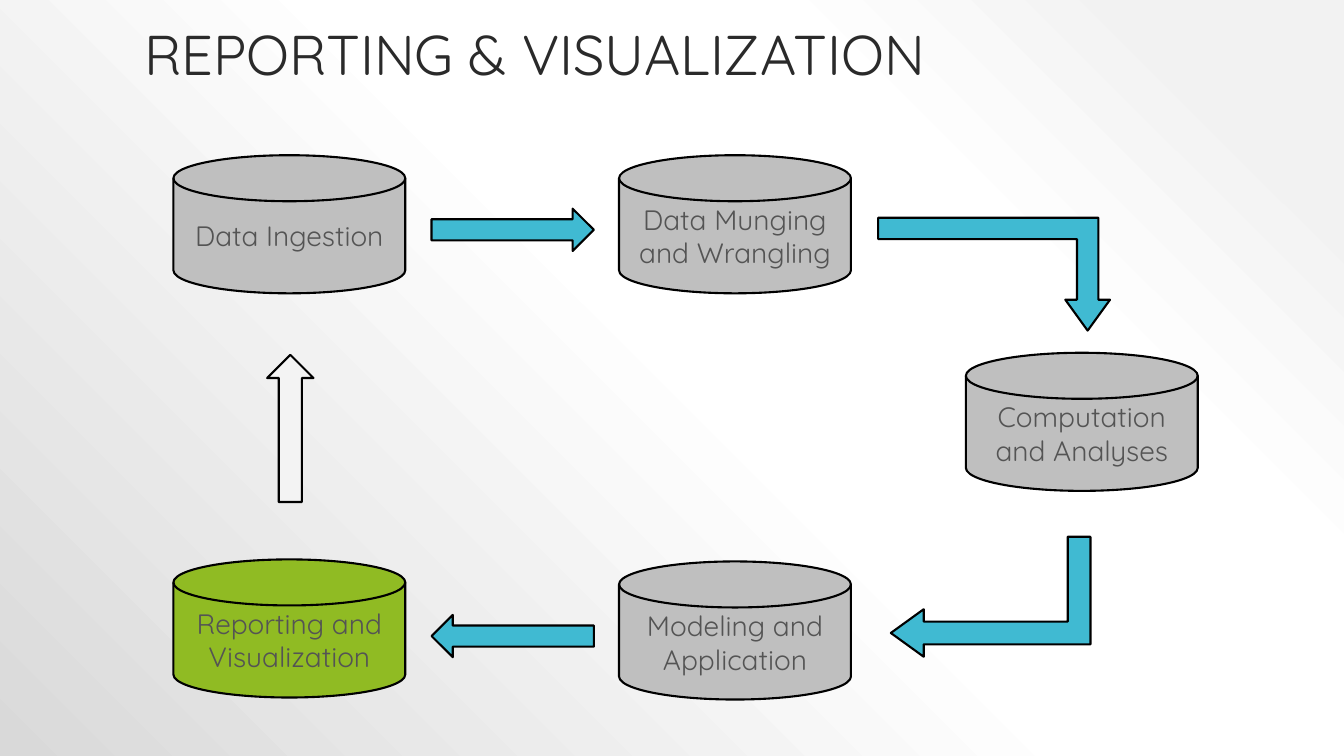
from lxml import etree
from pptx import Presentation
from pptx.dml.color import RGBColor
from pptx.enum import shapes, text
from pptx.oxml import parse_xml
from pptx.oxml.ns import nsdecls, qn
from pptx.util import Inches, Pt

FONT = "Quicksand"
GREY, GREEN, BLUE, PALE = "BFBFBF", "90BB23", "40BAD2", "F3F3F3"
STRAIGHT = shapes.MSO_SHAPE.RIGHT_ARROW
BENT = shapes.MSO_SHAPE.BENT_UP_ARROW
BENDS = (0.189, 0.198, 0.274)

STAGES = [
    ("Data Ingestion", 1.72, 1.54, GREY),
    ("Data Munging and Wrangling", 6.14, 1.54, GREY),
    ("Computation and Analyses", 9.58, 3.5, GREY),
    ("Modeling and Application", 6.14, 5.57, GREY),
    ("Reporting and Visualization", 1.72, 5.55, GREEN),
]


def rgb(color):
    return RGBColor.from_string(color)


def style_font(paragraph, size, color):
    paragraph.font.name = FONT
    paragraph.font.size = Pt(size)
    paragraph.font.color.rgb = rgb(color)


def paint_background(slide):
    """Radial gradient spreading from the top right corner."""
    slide.background.fill.gradient()
    gradient = slide.element.find(".//" + qn("a:gradFill"))
    stops = [(10, "F2F2F2"), (28, "FFFFFF"), (48, "FFFFFF"), (100, "D9D9D9")]
    stop_xml = "".join(
        f'<a:gs pos="{position * 1000}"><a:srgbClr val="{color}"/></a:gs>'
        for position, color in stops
    )
    radial = parse_xml(
        f'<a:gradFill {nsdecls("a")} rotWithShape="1"><a:gsLst>{stop_xml}</a:gsLst>'
        '<a:path path="circle"><a:fillToRect l="100000" b="100000"/></a:path>'
        "</a:gradFill>"
    )
    gradient.getparent().replace(gradient, radial)


def add_title(slide, wording):
    title = slide.shapes.title
    title.left, title.top = Inches(1.33), Inches(0.05)
    title.width, title.height = Inches(10.67), Inches(0.87)
    frame = title.text_frame
    frame.text = wording
    frame.word_wrap = True
    frame.auto_size = text.MSO_AUTO_SIZE.NONE
    frame.vertical_anchor = text.MSO_ANCHOR.BOTTOM
    heading = frame.paragraphs[0]
    heading.alignment = text.PP_ALIGN.LEFT
    heading.line_spacing = 0.9
    style_font(heading, 40, "2A2A2A")


def add_outlined(slide, kind, left, top, width, height, color):
    shape = slide.shapes.add_shape(
        kind, Inches(left), Inches(top), Inches(width), Inches(height)
    )
    shape.shadow.inherit = False
    shape.fill.solid()
    shape.fill.fore_color.rgb = rgb(color)
    shape.line.color.rgb = rgb("000000")
    shape.line.width = Pt(1.5)
    return shape


def add_stage(slide, label, left, top, color):
    disk = add_outlined(
        slide, shapes.MSO_SHAPE.FLOWCHART_MAGNETIC_DISK, left, top, 2.3, 1.37, color
    )
    frame = disk.text_frame
    frame.word_wrap = True
    frame.vertical_anchor = text.MSO_ANCHOR.MIDDLE
    frame.margin_left = frame.margin_right = Inches(0.13)
    frame.margin_top = frame.margin_bottom = Inches(0.13)
    frame.text = label
    frame.paragraphs[0].alignment = text.PP_ALIGN.CENTER
    style_font(frame.paragraphs[0], 20, "545454")


def add_arrow(slide, kind, left, top, width, height, rotation=0, color=BLUE):
    arrow = add_outlined(slide, kind, left, top, width, height, color)
    arrow.rotation = rotation
    if kind == BENT:
        for index, bend in enumerate(BENDS):
            arrow.adjustments[index] = bend
        arrow.element.spPr.find(qn("a:xfrm")).set("flipH", "1")


def main():
    deck = Presentation()
    deck.slide_width, deck.slide_height = Inches(13.33), Inches(7.5)
    slide = deck.slides.add_slide(deck.slide_layouts[5])
    paint_background(slide)
    add_title(slide, "REPORTING & VISUALIZATION")
    for stage in STAGES:
        add_stage(slide, *stage)
    add_arrow(slide, STRAIGHT, 4.28, 2.07, 1.61, 0.42)
    add_arrow(slide, BENT, 8.71, 2.16, 2.3, 1.12, 180)
    add_arrow(slide, BENT, 9.23, 4.93, 1.19, 1.98, 270)
    add_arrow(slide, STRAIGHT, 4.28, 6.1, 1.61, 0.42, 180)
    add_arrow(slide, STRAIGHT, 2.15, 4.02, 1.46, 0.46, 270, PALE)
    deck.save("out.pptx")


if __name__ == "__main__":
    main()
